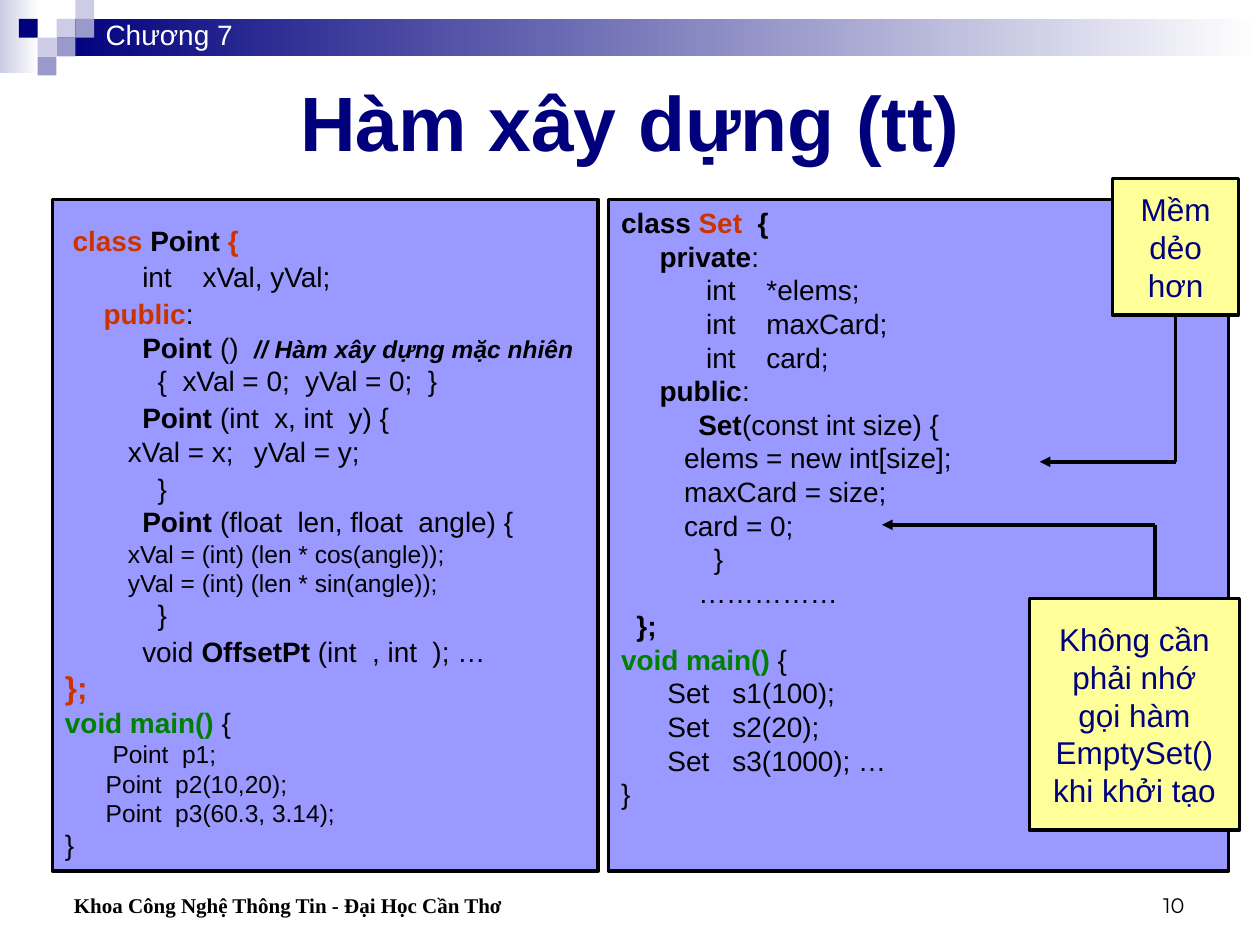
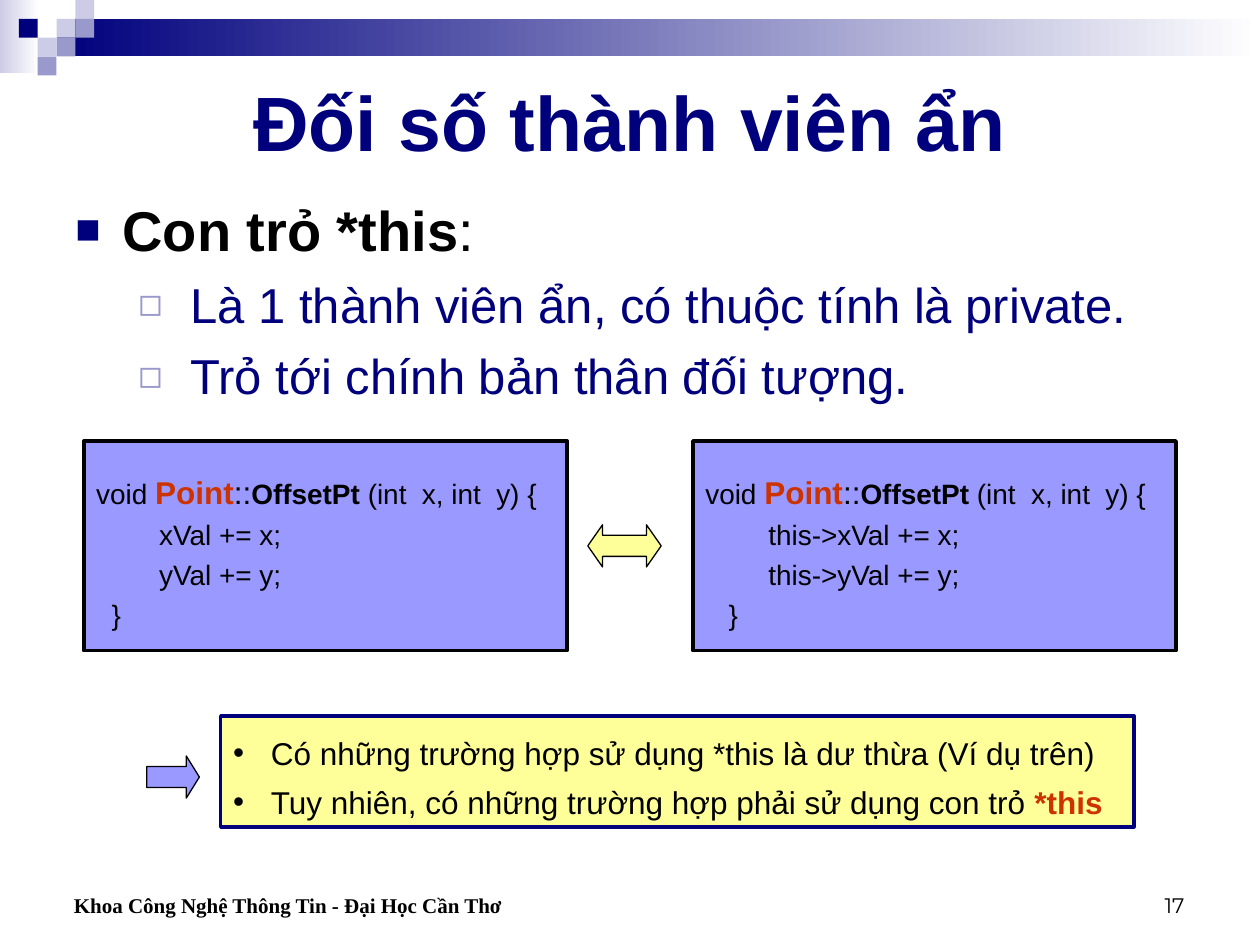
from lxml import etree
from pptx import Presentation
from pptx.dml.color import RGBColor
from pptx.enum.shapes import MSO_CONNECTOR, MSO_SHAPE
from pptx.enum.text import MSO_ANCHOR, PP_ALIGN
from pptx.oxml.ns import qn
from pptx.util import Cm, Pt

RECT = MSO_SHAPE.RECTANGLE
DOUBLE_ARROW = MSO_SHAPE.LEFT_RIGHT_ARROW
RIGHT_ARROW = MSO_SHAPE.RIGHT_ARROW
STRAIGHT = MSO_CONNECTOR.STRAIGHT
LEFT, CENTER, RIGHT = PP_ALIGN.LEFT, PP_ALIGN.CENTER, PP_ALIGN.RIGHT
TOP, MIDDLE, BOTTOM = MSO_ANCHOR.TOP, MSO_ANCHOR.MIDDLE, MSO_ANCHOR.BOTTOM

NAVY, LAVENDER, PALE, MUTED = "00007D", "9999FF", "CCCCE6", "9999CC"
YELLOW, RED, GREEN = "FFFF99", "CC3300", "008000"
BLACK, WHITE = "000000", "FFFFFF"

STYLES = {
    "title": ("Arial", 44, NAVY, True),
    "chapter": ("Arial", 16, WHITE, False),
    "code": ("Arial", 16, BLACK, False),
    "bold": ("Arial", 16, BLACK, True),
    "red": ("Arial", 16, RED, True),
    "green": ("Arial", 16, GREEN, True),
    "small": ("Arial", 14, BLACK, False),
    "comment": ("Arial", 14, BLACK, True),
    "big": ("Arial", 18, BLACK, False),
    "big red": ("Arial", 18, RED, True),
    "callout": ("Arial", 18, NAVY, False),
    "head": ("Arial", 32, BLACK, True),
    "head plain": ("Arial", 32, BLACK, False),
    "point": ("Arial", 28, NAVY, False),
    "footer": ("Times New Roman", 12, BLACK, True),
    "number": ("Montserrat", 12, BLACK, False),
}


def add_shape(page, kind, place, fill, line=None, width=2):
    shape = page.shapes.add_shape(kind, *[Cm(length) for length in place])
    shape.shadow.inherit = False
    shape.fill.solid()
    shape.fill.fore_color.rgb = RGBColor.from_string(fill)
    if line:
        shape.line.color.rgb = RGBColor.from_string(line)
        shape.line.width = Pt(width)
    else:
        shape.line.fill.background()
    return shape


def write(box, lines, align=LEFT, anchor=TOP, top=0.13):
    frame = box.text_frame
    frame.word_wrap = True
    frame.vertical_anchor = anchor
    frame.margin_top = Cm(top)
    for index, (spacing, spans) in enumerate(lines):
        para = frame.add_paragraph() if index else frame.paragraphs[0]
        para.alignment = align
        para.line_spacing = spacing
        for text, style in spans:
            span = para.add_run()
            span.text = text
            name, size, color, bold = STYLES[style]
            span.font.name = name
            span.font.size = Pt(size)
            span.font.bold = bold
            span.font.italic = style == "comment"
            span.font.color.rgb = RGBColor.from_string(color)


deck = Presentation()
deck.slide_width, deck.slide_height = Cm(25.4), Cm(19.05)

TILE = 0.38
TILES = [(3, 1, PALE), (4, 0, PALE), (4, 1, MUTED), (2, 2, PALE),
         (1, 1, NAVY), (3, 2, MUTED), (2, 3, MUTED)]
BANDS = [((0, 0, 0.79, 1.47), PALE), ((1.14, 0.38, 24.26, 0.76), NAVY)]

pages = []
for title, number in [("Hàm xây dựng (tt)", "10"), ("Đối số thành viên ẩn", "17")]:
    page = deck.slides.add_slide(deck.slide_layouts[6])
    pages.append(page)
    for place, color in BANDS:
        band = add_shape(page, RECT, place, color)
        band.fill.gradient()
        band.fill.gradient_angle = 0
        for stop, shade in zip(band.fill.gradient_stops, (color, WHITE)):
            stop.color.rgb = RGBColor.from_string(shade)
    for column, row, color in TILES:
        add_shape(page, RECT, (column * TILE, row * TILE, TILE, TILE), color)
    for place, text, style, align, anchor in [
        ((1.27, 1.27, 22.86, 2.34), title, "title", CENTER, MIDDLE),
        ((1.24, 17.35, 11.67, 1.27), "Khoa Công Nghệ Thông Tin - Đại Học Cần Thơ",
         "footer", LEFT, BOTTOM),
        ((18.21, 17.35, 5.92, 1.27), number, "number", RIGHT, BOTTOM),
    ]:
        box = page.shapes.add_textbox(*[Cm(length) for length in place])
        write(box, [(1, [(text, style)])], align, anchor)

constructors, hidden_member = pages

chapter = constructors.shapes.add_textbox(Cm(1.88), Cm(0.23), Cm(4.45), Cm(0.94))
write(chapter, [(1, [("Chương 7", "chapter")])])

point_class = [
    (1.1, [(" class ", "red"), ("Point ", "bold"), ("{", "red")]),
    (1.1, [("          int    xVal, yVal;", "code")]),
    (1.1, [("     public", "red"), (":", "code")]),
    (1, [("          Point", "bold"), (" ()  ", "code"),
         ("// Hàm xây dựng mặc nhiên", "comment")]),
    (1, [("            {  xVal = 0;  yVal = 0;  }", "code")]),
    (1.1, [("          Point", "bold"), (" (int  x, int  y) {", "code")]),
    (1, [("\txVal = x;\tyVal = y;", "code")]),
    (1.1, [("            }", "code")]),
    (1, [("          Point", "bold"), (" (float  len, float  angle) {", "code")]),
    (1, [("\txVal = (int) (len * cos(angle));", "small")]),
    (1, [("\tyVal = (int) (len * sin(angle));", "small")]),
    (1, [("            }", "code")]),
    (1.1, [("          void ", "code"), ("OffsetPt", "bold"),
           (" (int  , int  ); …", "code")]),
    (1, [("};", "big red")]),
    (1, [("void main()", "green"), (" {", "code")]),
    (1, [("       Point  p1;", "small")]),
    (1, [("      Point  p2(10,20);", "small")]),
    (1, [("      Point  p3(60.3, 3.14);", "small")]),
    (1, [("}", "code")]),
]
set_class = [
    (1, [("class ", "bold"), ("Set  ", "red"), ("{", "bold")]),
    (1, [("     private", "bold"), (":", "code")]),
    (1, [("           int    *elems;", "code")]),
    (1, [("           int    maxCard;", "code")]),
    (1, [("           int    card;", "code")]),
    (1, [("     public", "bold"), (":", "code")]),
    (1, [("          Set", "bold"), ("(const int size) {", "code")]),
    (1, [("\telems = new int[size];", "code")]),
    (1, [("\tmaxCard = size;", "code")]),
    (1, [("\tcard = 0;", "code")]),
    (1, [("            }", "code")]),
    (1, [("          ……………", "code")]),
    (1, [("  };", "bold")]),
    (1, [("void main()", "green"), (" {", "code")]),
    (1, [("      Set   s1(100);", "code")]),
    (1, [("      Set   s2(20);", "code")]),
    (1, [("      Set   s3(1000); …", "code")]),
    (1, [("}", "code")]),
]
for left, width, lines, top in [(1.06, 11, point_class, 0.41), (12.27, 12.5, set_class, 0.13)]:
    panel = add_shape(constructors, RECT, (left, 4.02, width, 13.54), LAVENDER, BLACK)
    write(panel, lines, top=top)

for place, words, corner, start, tip in [
    ((22.43, 3.6, 2.54, 2.75), ["Mềm", "dẻo", "hơn"], (23.7, 9.31), 6.35, 20.96),
    ((20.75, 12.07, 4.24, 4.66),
     ["Không cần", "phải nhớ", "gọi hàm", "EmptySet()", "khi khởi tạo"],
     (23.28, 10.58), 12.07, 17.78),
]:
    x, y = corner
    for end_x, end_y, has_head in [(x, start, False), (tip, y, True)]:
        line = constructors.shapes.add_connector(STRAIGHT, Cm(x), Cm(y), Cm(end_x), Cm(end_y))
        line.line.color.rgb = RGBColor.from_string(BLACK)
        line.line.width = Pt(2)
        if has_head:
            etree.SubElement(line.line._get_or_add_ln(), qn("a:tailEnd"), type="triangle")
        etree.SubElement(line._element.spPr, qn("a:effectLst"))
    callout = add_shape(constructors, RECT, place, YELLOW, BLACK)
    write(callout, [(1, [(word, "callout")]) for word in words], CENTER, MIDDLE)

body = hidden_member.shapes.add_textbox(Cm(1.27), Cm(3.81), Cm(22.86), Cm(4.65))
write(body, [
    (1, [("Con trỏ *this", "head"), (":", "head plain")]),
    (1, [("Là 1 thành viên ẩn, có thuộc tính là private.", "point")]),
    (1, [("Trỏ tới chính bản thân đối tượng.", "point")]),
])
for para in body.text_frame.paragraphs[1:]:
    para.space_before = Pt(7)

for left, member, closing in [(1.69, "", "  }"), (13.97, "this->", "   }")]:
    panel = add_shape(hidden_member, RECT, (left, 8.89, 9.74, 4.23), LAVENDER, BLACK)
    write(panel, [
        (1.2, [("void ", "code"), ("Point", "big red"), ("::", "big"),
               ("OffsetPt", "bold"), (" (int  x, int  y) {", "code")]),
        (1.2, [(f"\t{member}xVal += x;", "code")]),
        (1.2, [(f"\t{member}yVal += y;", "code")]),
        (1.2, [(closing, "code")]),
    ], top=0.49)

for kind, place, fill, head in [
    (DOUBLE_ARROW, (11.85, 10.58, 1.48, 0.85), YELLOW, 0.35),
    (RIGHT_ARROW, (2.96, 15.24, 1.06, 0.85), LAVENDER, 0.31),
]:
    arrow = add_shape(hidden_member, kind, place, fill, BLACK, 0.75)
    arrow.adjustments[1] = head

remark = add_shape(hidden_member, RECT, (4.45, 14.43, 18.41, 2.24), YELLOW, NAVY)
write(remark, [
    (1.3, [("Có những trường hợp sử dụng *this là dư thừa (Ví dụ trên)", "big")]),
    (1.3, [("Tuy nhiên, có những trường hợp phải sử dụng con trỏ ", "big"),
           ("*this", "big red")]),
], anchor=MIDDLE)

SQUARE = ("■", NAVY, 75, 0.95, 0.95)
HOLLOW = ("◻", MUTED, 80, 2.32, 1.05)
DOT = ("•", BLACK, 100, 0.76, 0.76)
for box, bullets in [(body, (SQUARE, HOLLOW, HOLLOW)), (remark, (DOT, DOT))]:
    for para, (mark, color, percent, margin, hanging) in zip(box.text_frame.paragraphs, bullets):
        properties = para._p.get_or_add_pPr()
        properties.set("marL", str(Cm(margin)))
        properties.set("indent", str(-Cm(hanging)))
        tint = etree.SubElement(properties, qn("a:buClr"))
        etree.SubElement(tint, qn("a:srgbClr"), val=color)
        etree.SubElement(properties, qn("a:buSzPct"), val=str(percent * 1000))
        etree.SubElement(properties, qn("a:buFont"), typeface="Arial")
        etree.SubElement(properties, qn("a:buChar"), char=mark)

deck.save("out.pptx")
